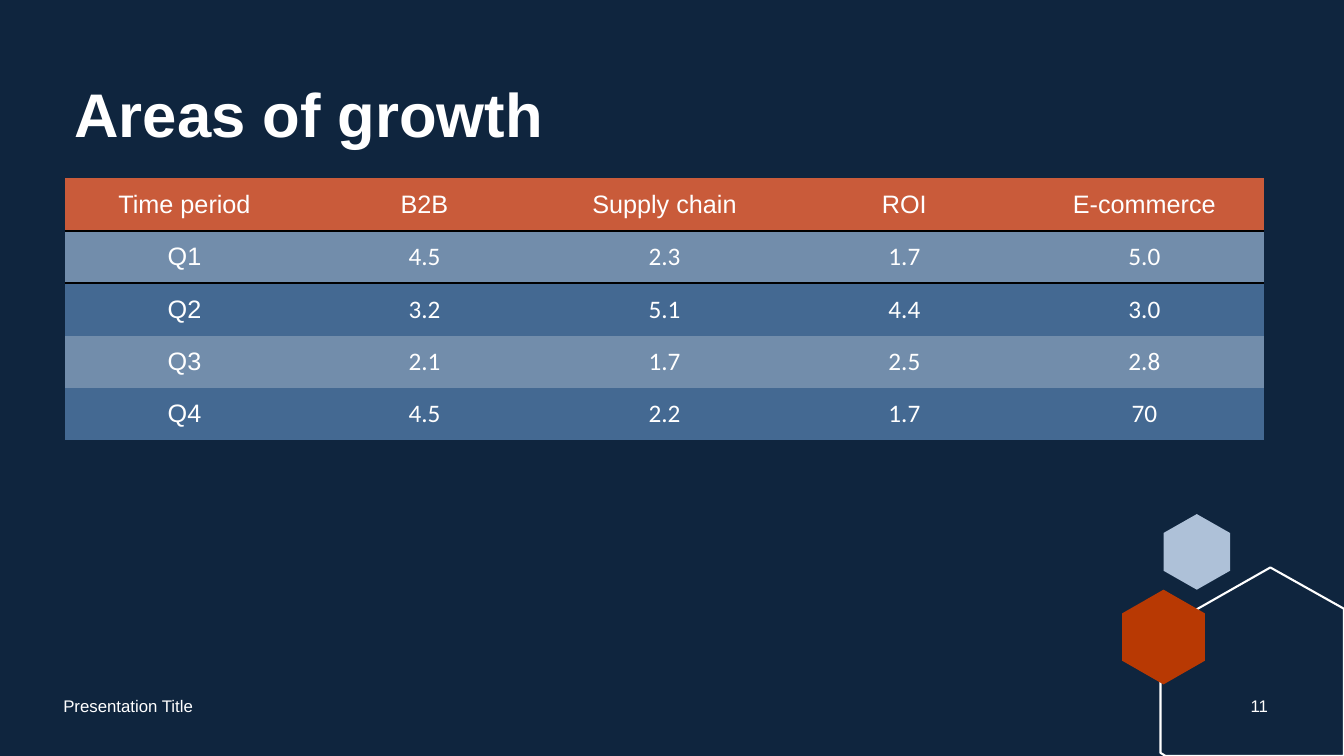
from lxml.etree import SubElement
from pptx import Presentation
from pptx.dml.color import RGBColor
from pptx.enum.text import MSO_ANCHOR, PP_ALIGN
from pptx.oxml.ns import qn
from pptx.util import Inches, Pt

TITLE = "Areas of growth"
FOOTER = "Presentation Title"
PAGE = "11"
ROWS = [
    ("Time period", "B2B", "Supply chain", "ROI", "E-commerce"),
    ("Q1", "4.5", "2.3", "1.7", "5.0"),
    ("Q2", "3.2", "5.1", "4.4", "3.0"),
    ("Q3", "2.1", "1.7", "2.5", "2.8"),
    ("Q4", "4.5", "2.2", "1.7", "70"),
]

NAVY = RGBColor(0x0F, 0x25, 0x3E)
WHITE = RGBColor(0xFF, 0xFF, 0xFF)
BLACK = RGBColor(0, 0, 0)
PALE = RGBColor(0xAE, 0xC1, 0xD8)
RUST = RGBColor(0xB8, 0x39, 0x03)
HEADER = RGBColor(0xC9, 0x5B, 0x3A)
BANDS = [RGBColor(0x44, 0x69, 0x92), RGBColor(0x72, 0x8D, 0xAB)]

WIDTH, HEIGHT = 13.33, 7.5
MARGIN = 0.64
TABLE_TOP, COL_W, ROW_H = 1.77, 2.38, 0.52
PLAIN_STYLE = "{2D5ABB26-0587-4C30-8999-92F81FD0307C}"
FOOTER_TOP, FOOTER_H = 6.8, 0.4
BIG_HEX = [(12.6, 5.63), (WIDTH, 6.04), (WIDTH, HEIGHT),
           (11.56, HEIGHT), (11.51, 7.47), (11.51, 6.25)]


def hexagon(x, y, w, h):
    return [(x + w * u, y + h * v) for u, v in
            ((0.5, 0), (1, 0.25), (1, 0.75), (0.5, 1), (0, 0.75), (0, 0.25))]


def add_polygon(s, points, fill=None, line=None):
    pts = [(Inches(x), Inches(y)) for x, y in points]
    fb = s.shapes.build_freeform(*pts[0])
    fb.add_line_segments(pts[1:], close=True)
    sp = fb.convert_to_shape()
    sp.shadow.inherit = False
    if fill is None:
        sp.fill.background()
    else:
        sp.fill.solid()
        sp.fill.fore_color.rgb = fill
    if line is None:
        sp.line.fill.background()
    else:
        sp.line.color.rgb = line
        sp.line.width = Pt(1.5)


def style(p, size, font="Arial", align=PP_ALIGN.LEFT, bold=False):
    p.alignment = align
    p.font.size = Pt(size)
    p.font.name = font
    p.font.bold = bold
    p.font.color.rgb = WHITE


def add_text(s, text, box, size, anchor=MSO_ANCHOR.MIDDLE, **kw):
    tf = s.shapes.add_textbox(*map(Inches, box)).text_frame
    tf.word_wrap = True
    tf.vertical_anchor = anchor
    p = tf.paragraphs[0]
    p.text = text
    style(p, size, **kw)
    return p


def add_border(cell, side):
    tcPr = cell._tc.get_or_add_tcPr()
    ln = SubElement(tcPr, qn(f"a:{side}"), w=str(Pt(1.5)))
    fill = SubElement(ln, qn("a:solidFill"))
    SubElement(fill, qn("a:srgbClr"), val=str(BLACK))
    tcPr.insert(0, ln)


def add_growth_table(s):
    n, m = len(ROWS), len(ROWS[0])
    box = (MARGIN, TABLE_TOP, COL_W * m, ROW_H * n)
    tbl = s.shapes.add_table(n, m, *map(Inches, box)).table
    tbl._tbl.tblPr.find(qn("a:tableStyleId")).text = PLAIN_STYLE
    for i, row in enumerate(ROWS):
        for j, text in enumerate(row):
            cell = tbl.cell(i, j)
            cell.text = text
            cell.vertical_anchor = MSO_ANCHOR.MIDDLE
            cell.fill.solid()
            cell.fill.fore_color.rgb = BANDS[i % 2] if i else HEADER
            style(cell.text_frame.paragraphs[0], 18,
                  "Calibri" if i and j else "Arial", PP_ALIGN.CENTER)
            if i < 2:
                add_border(cell, ("lnB", "lnT")[i])


def main():
    prs = Presentation()
    prs.slide_width, prs.slide_height = Inches(WIDTH), Inches(HEIGHT)
    s = prs.slides.add_slide(prs.slide_layouts[6])
    s.background.fill.solid()
    s.background.fill.fore_color.rgb = NAVY

    add_polygon(s, hexagon(11.54, 5.1, 0.66, 0.75), fill=PALE)
    add_polygon(s, BIG_HEX, line=WHITE)
    add_polygon(s, hexagon(11.13, 5.85, 0.82, 0.94), fill=RUST)

    title = add_text(s, TITLE, (MARGIN, 0.79, COL_W * 5, 1.55), 44,
                     MSO_ANCHOR.TOP, bold=True)
    title.line_spacing = 0.9
    add_growth_table(s)
    add_text(s, FOOTER, (0.53, FOOTER_TOP, 4.5, FOOTER_H), 12)
    add_text(s, PAGE, (12.24, FOOTER_TOP, 0.5, FOOTER_H), 12,
             align=PP_ALIGN.CENTER)
    prs.save("out.pptx")


if __name__ == "__main__":
    main()
